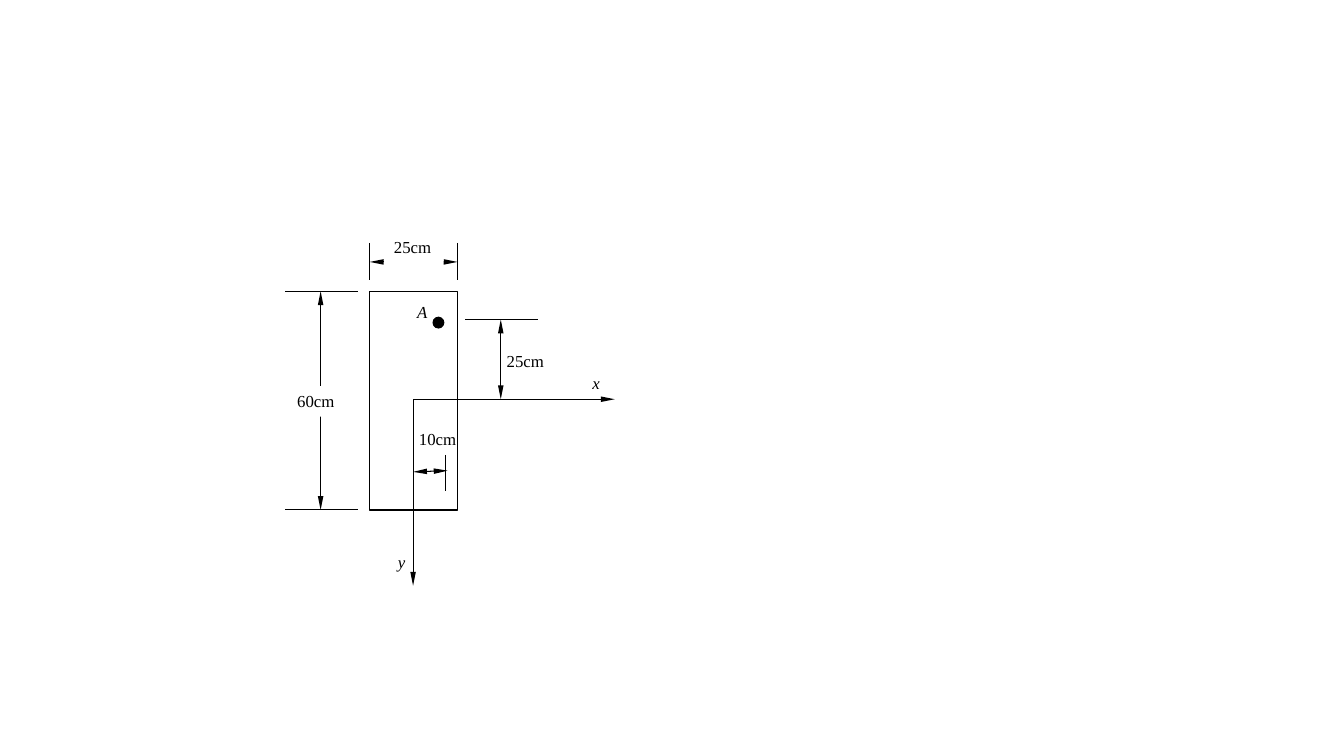
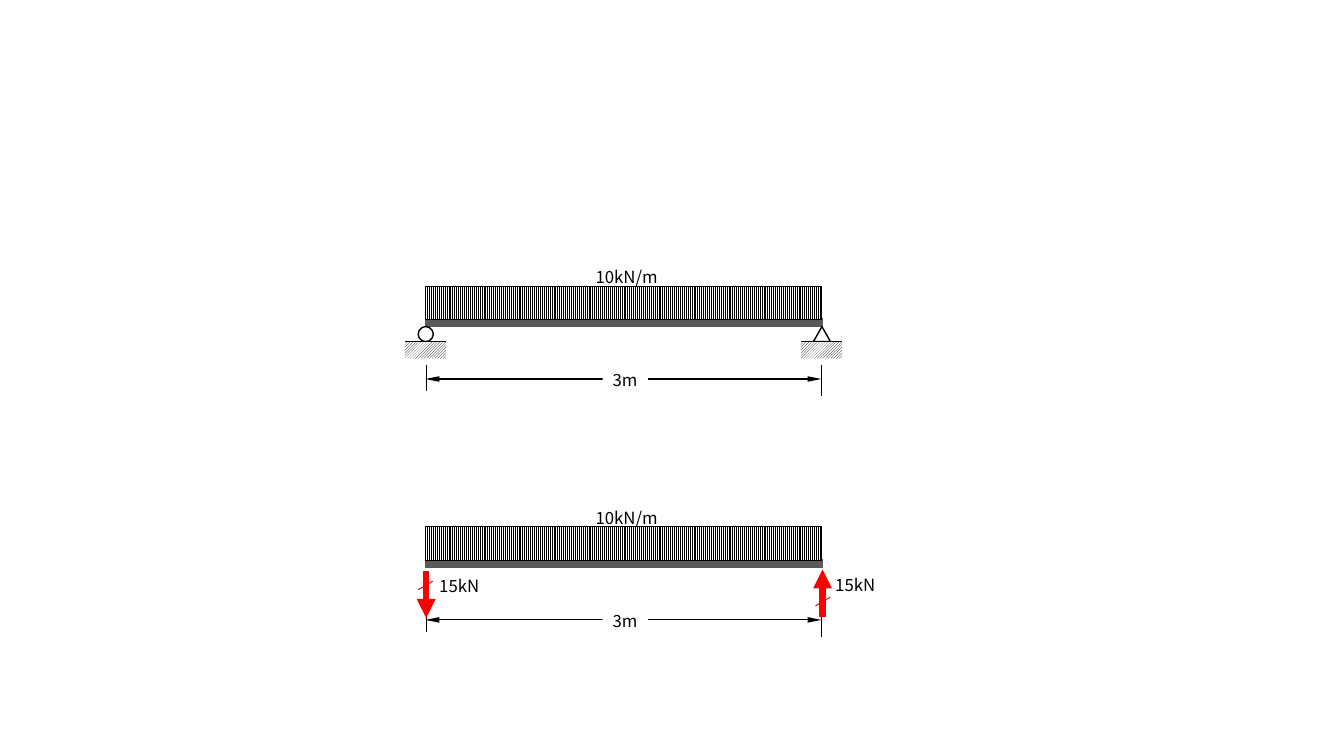
from lxml import etree
from pptx import Presentation
from pptx.dml.color import RGBColor
from pptx.enum import dml, shapes, text
from pptx.oxml import ns
from pptx.util import Cm, Pt

BLACK, WHITE, GRAY, RED = "000000", "FFFFFF", "595959", "FF0000"
SERIF, SANS = "Times New Roman", "Noto Sans CJK KR"
SHARP, PLAIN = ("sm", "lg"), ("med", "med")

LEFT, TOP, RIGHT, BOTTOM = 9.32, 7.34, 11.53, 12.85
ORIGIN_X, ORIGIN_Y = 10.41, 10.06
POINT_Y = 8.05

SECTION_LINES = [
    ((8.08, TOP), (8.08, BOTTOM), 2),
    ((7.19, TOP), (9.02, TOP), 0),
    ((7.19, BOTTOM), (9.02, BOTTOM), 0),
    ((RIGHT, 6.6), (LEFT, 6.6), 2),
    ((RIGHT, 6.12), (RIGHT, 7.06), 0),
    ((LEFT, 6.12), (LEFT, 7.06), 0),
    ((ORIGIN_X, 14.76), (ORIGIN_X, ORIGIN_Y), 1),
    ((15.49, ORIGIN_Y), (ORIGIN_X, ORIGIN_Y), 1),
    ((12.62, POINT_Y), (12.62, ORIGIN_Y), 2),
    ((11.73, POINT_Y), (13.56, POINT_Y), 0),
    ((11.28, 11.86), (ORIGIN_X, 11.89), 2),
    ((11.23, 11.46), (11.23, 12.37), 0),
]
SECTION_LABELS = [
    ("60cm", 7.24, 9.73, 1.7, WHITE, False),
    ("25cm", 9.68, 5.84, 1.5, WHITE, False),
    ("25cm", 12.52, 8.71, 1.47, None, False),
    ("10cm", 10.31, 10.67, 1.5, None, False),
    ("x", 14.68, 9.27, 1.55, None, True),
    ("y", 9.78, 13.77, 1.55, None, True),
    ("A", 10.26, 7.49, 0.81, None, True),
]

BEAM_START, BEAM_END = 10.72, 20.73
LOAD, SPAN, REACTION = "10kN/m", "3m", "15kN"
SECOND_BEAM = 6.07
REACTIONS = [
    ((10.74, 15.57), (10.74, 14.38), (10.82, 14.38), (10.54, 14.86)),
    ((20.73, 14.35), (20.73, 15.54), (20.8, 14.35), (20.55, 15.27)),
]


def color(value):
    return RGBColor.from_string(value)


def line(slide, start, end, arrows=0, stroke=BLACK, width=0.75, head=SHARP):
    link = slide.shapes.add_connector(
        shapes.MSO_CONNECTOR.STRAIGHT, *map(Cm, start + end))
    link.line.color.rgb = color(stroke)
    link.line.width = Pt(width)
    outline = link.line._get_or_add_ln()
    for tag in ("a:headEnd", "a:tailEnd")[:arrows]:
        etree.SubElement(outline, ns.qn(tag), type="triangle",
                         w=head[0], len=head[1])
    etree.SubElement(link._element.spPr, ns.qn("a:effectLst"))


def shape(slide, kind, x, y, w, h, fill=None, stroke=None, width=1, pattern=None):
    item = slide.shapes.add_shape(kind, Cm(x), Cm(y), Cm(w), Cm(h))
    item.shadow.inherit = False
    if pattern:
        item.fill.patterned()
        item.fill.pattern = pattern
        item.fill.fore_color.rgb = color(BLACK)
        item.fill.back_color.rgb = color(WHITE)
    elif fill:
        item.fill.solid()
        item.fill.fore_color.rgb = color(fill)
    else:
        item.fill.background()
    if stroke:
        item.line.color.rgb = color(stroke)
        item.line.width = Pt(width)
    else:
        item.line.fill.background()
    return item


def hatched(slide, center_x, center_y, w, h, pattern, stroke=None):
    item = shape(slide, shapes.MSO_SHAPE.RECTANGLE, center_x - h / 2,
                 center_y - w / 2, h, w, stroke=stroke, width=0.75, pattern=pattern)
    item.rotation = 90


def label(slide, words, x, y, w, fill=None, italic=False, font=SERIF):
    box = slide.shapes.add_textbox(Cm(x), Cm(y), Cm(w), Cm(0.77))
    if fill:
        box.fill.solid()
        box.fill.fore_color.rgb = color(fill)
    frame = box.text_frame
    frame.word_wrap = True
    frame.margin_right = 0
    frame.vertical_anchor = text.MSO_ANCHOR.TOP
    run = frame.paragraphs[0].add_run()
    run.text = words
    run.font.name = font
    run.font.size = Pt(12)
    run.font.italic = italic
    run.font.color.rgb = color(BLACK)


def draw_section(slide):
    shape(slide, shapes.MSO_SHAPE.RECTANGLE, LEFT, TOP, RIGHT - LEFT,
          BOTTOM - TOP, stroke=BLACK)
    for start, end, arrows in SECTION_LINES[:8]:
        line(slide, start, end, arrows)
    for words, x, y, w, fill, italic in SECTION_LABELS:
        label(slide, words, x, y, w, fill, italic)
    for start, end, arrows in SECTION_LINES[8:]:
        line(slide, start, end, arrows)
    shape(slide, shapes.MSO_SHAPE.OVAL, 10.9, 7.98, 0.3, 0.3, fill=BLACK)


def draw_beam(slide, down=0):
    line(slide, (BEAM_START, 8.13 + down), (BEAM_END, 8.13 + down),
         stroke=GRAY, width=6)
    line(slide, (BEAM_START, 9.55 + down), (20.7, 9.55 + down), 2)
    for x, bottom in ((10.74, 9.86), (20.7, 9.98)):
        line(slide, (x, bottom + down), (x, 9.19 + down))
    label(slide, SPAN, 15.19, 9.19 + down, 1.14, WHITE, font=SANS)
    hatched(slide, 15.71, 7.63 + down, 9.98, 0.84,
            dml.MSO_PATTERN.LIGHT_VERTICAL, BLACK)
    label(slide, LOAD, 14.76, 6.6 + down, 2.16, font=SANS)


def draw_supports(slide):
    shape(slide, shapes.MSO_SHAPE.OVAL, 10.54, 8.23, 0.38, 0.38, WHITE, BLACK)
    shape(slide, shapes.MSO_SHAPE.ISOSCELES_TRIANGLE, 20.5, 8.23, 0.43, 0.38,
          stroke=BLACK)
    for x in (BEAM_START, 20.7):
        hatched(slide, x, 8.83, 1.04, 0.41, dml.MSO_PATTERN.LIGHT_UPWARD_DIAGONAL)
        line(slide, (x + 0.52, 8.61), (x - 0.52, 8.61))


def draw_reactions(slide):
    for tip, end, (x, y), (slash_x, slash_y) in REACTIONS:
        label(slide, REACTION, x, y, 1.57, font=SANS)
        line(slide, tip, end, 1, RED, 4.5, PLAIN)
        line(slide, (slash_x, slash_y), (slash_x + 0.37, slash_y - 0.22), stroke=RED)


def main():
    deck = Presentation()
    deck.slide_width, deck.slide_height = Cm(33.87), Cm(19.05)
    section, beams = (deck.slides.add_slide(deck.slide_layouts[6]) for _ in range(2))
    draw_section(section)
    draw_beam(beams)
    draw_supports(beams)
    draw_beam(beams, SECOND_BEAM)
    draw_reactions(beams)
    deck.save("out.pptx")


if __name__ == "__main__":
    main()
